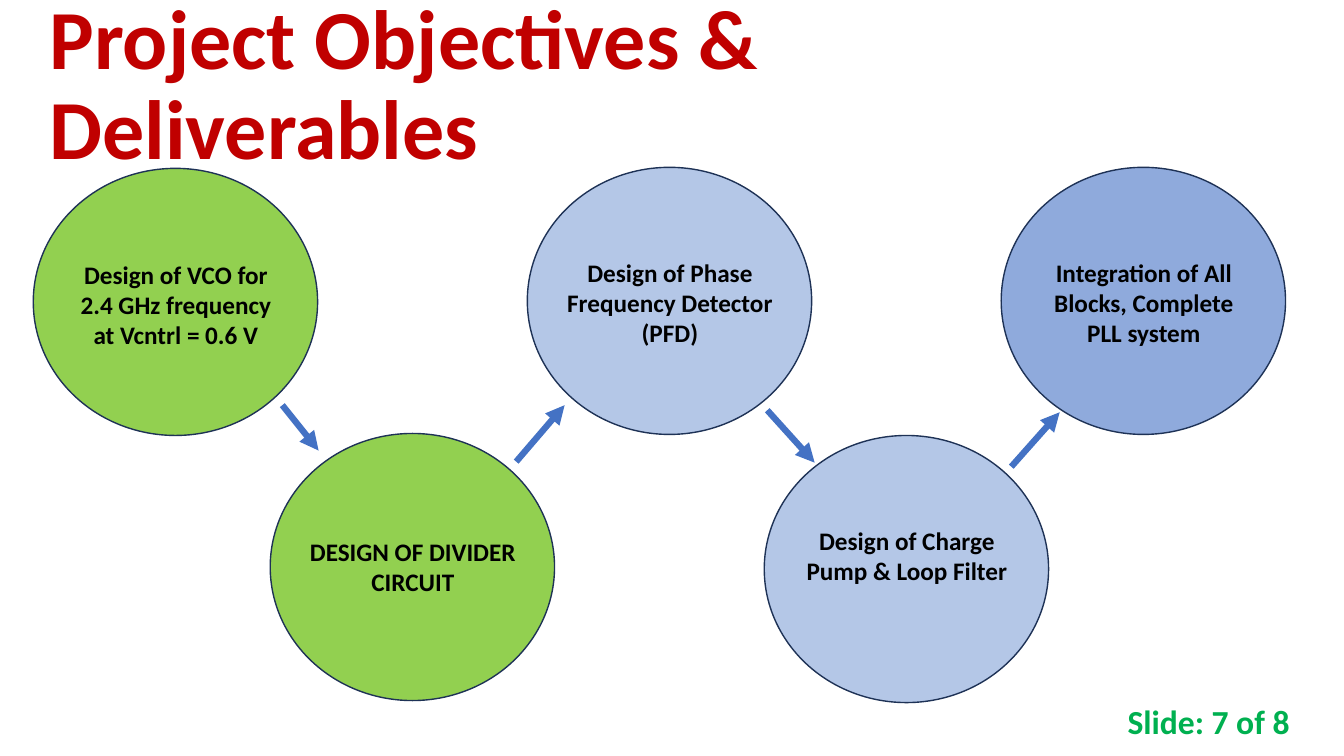
"""Build the project objectives and deliverables slide."""
from lxml import etree
from pptx import Presentation
from pptx.dml.color import RGBColor
from pptx.enum.shapes import MSO_CONNECTOR, MSO_SHAPE
from pptx.enum.text import MSO_ANCHOR, MSO_AUTO_SIZE, PP_ALIGN
from pptx.oxml.ns import qn
from pptx.util import Inches, Pt

OVAL = MSO_SHAPE.OVAL
STRAIGHT = MSO_CONNECTOR.STRAIGHT
MIDDLE, TOP = MSO_ANCHOR.MIDDLE, MSO_ANCHOR.TOP
LEFT, CENTER, RIGHT = PP_ALIGN.LEFT, PP_ALIGN.CENTER, PP_ALIGN.RIGHT
NO_RESIZE = MSO_AUTO_SIZE.NONE

RED = RGBColor(0xC0, 0x00, 0x00)
GREEN = RGBColor(0x00, 0xB0, 0x50)
BLACK = RGBColor(0x00, 0x00, 0x00)
LIME = RGBColor(0x92, 0xD0, 0x50)
LIGHT_BLUE = RGBColor(0xB4, 0xC7, 0xE7)
MID_BLUE = RGBColor(0x8F, 0xAA, 0xDC)
NAVY = RGBColor(0x1E, 0x32, 0x56)
ARROW_BLUE = RGBColor(0x44, 0x72, 0xC4)

CIRCLE_WIDTH, CIRCLE_HEIGHT = 2.82, 2.65
LABEL_INSET, LABEL_WIDTH = 0.25, 2.33


def write_text(shape, text, size, color, alignment, anchor):
    frame = shape.text_frame
    frame.word_wrap = True
    frame.auto_size = NO_RESIZE
    frame.vertical_anchor = anchor
    frame.text = text
    for paragraph in frame.paragraphs:
        paragraph.alignment = alignment
        paragraph.font.name = "Calibri"
        paragraph.font.size = Pt(size)
        paragraph.font.bold = True
        paragraph.font.color.rgb = color


presentation = Presentation()
presentation.slide_width = Inches(13.33)
presentation.slide_height = Inches(7.5)
slide = presentation.slides.add_slide(presentation.slide_layouts[5])

title = slide.shapes.title
title.left, title.top = Inches(0.39), Inches(0.14)
title.width, title.height = Inches(11.5), Inches(1.45)
write_text(title, "Project Objectives & Deliverables", 60, RED, LEFT, MIDDLE)
title.text_frame.paragraphs[0].line_spacing = 0.9

slide_counter = slide.shapes.add_textbox(Inches(9.59), Inches(6.95), Inches(3.3), Inches(0.4))
write_text(slide_counter, "Slide: 7 of 8", 24, GREEN, RIGHT, MIDDLE)

objectives = [
    (0.33, 1.67, LIME, 2.52, 1.02, "Design of VCO for 2.4 GHz frequency at Vcntrl = 0.6 V"),
    (2.68, 4.3, LIME, 5.27, 0.71, "DESIGN OF DIVIDER\nCIRCUIT"),
    (5.23, 1.66, LIGHT_BLUE, 2.5, 1.01, "Design of Phase Frequency Detector\n(PFD)"),
    (7.58, 4.32, LIGHT_BLUE, 5.16, 0.71, "Design of Charge Pump & Loop Filter"),
    (9.93, 1.66, MID_BLUE, 2.5, 1.01, "Integration of All Blocks, Complete PLL system"),
]
for left, top, color, label_top, label_height, text in objectives:
    group = slide.shapes.add_group_shape()
    circle = group.shapes.add_shape(
        OVAL, Inches(left), Inches(top), Inches(CIRCLE_WIDTH), Inches(CIRCLE_HEIGHT))
    circle.shadow.inherit = False
    circle.fill.solid()
    circle.fill.fore_color.rgb = color
    circle.line.color.rgb = NAVY
    circle.line.width = Pt(1)
    label = group.shapes.add_textbox(
        Inches(left + LABEL_INSET), Inches(label_top), Inches(LABEL_WIDTH), Inches(label_height))
    write_text(label, text, 18, BLACK, CENTER, TOP)

arrows = [
    (2.8, 4.02, 3.16, 4.47),
    (5.12, 4.58, 5.6, 4.02),
    (7.61, 4.07, 8.08, 4.59),
    (10.03, 4.63, 10.51, 4.09),
]
for ends in arrows:
    arrow = slide.shapes.add_connector(STRAIGHT, *[Inches(value) for value in ends])
    arrow.line.color.rgb = ARROW_BLUE
    arrow.line.width = Pt(4.5)
    etree.SubElement(arrow.line._get_or_add_ln(), qn("a:tailEnd"), type="triangle")
    etree.SubElement(arrow._element.spPr, qn("a:effectLst"))

presentation.save("out.pptx")
